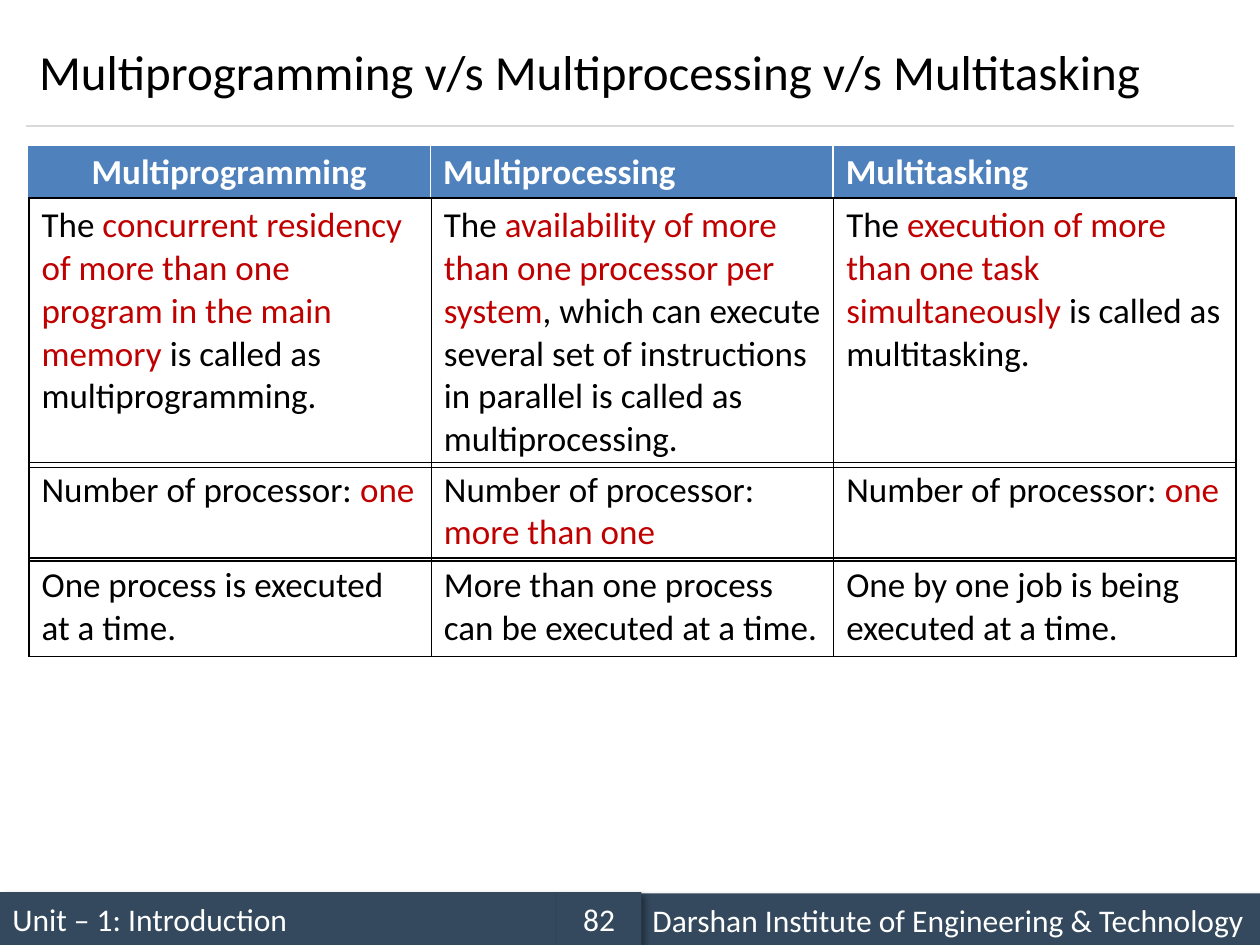
from lxml import etree
from pptx import Presentation
from pptx import util as u
from pptx.dml.color import RGBColor
from pptx.enum import shapes, text
from pptx.oxml.ns import qn

BLACK, WHITE, RED = "000000", "FFFFFF", "C00000"


def colour(value):
    return RGBColor.from_string(value)


def add_spans(para, pieces, size, bold=False):
    for words, shade in pieces:
        span = para.add_run()
        span.text = words
        span.font.name = "Calibri"
        span.font.size = u.Pt(size)
        span.font.bold = bold
        span.font.color.rgb = colour(shade)


deck = Presentation()
deck.slide_width, deck.slide_height = u.Inches(10), u.Inches(7.5)
page = deck.slides.add_slide(deck.slide_layouts[5])

footers = [
    (0, 7.08, 4.42, "Unit – 1: Introduction", text.PP_ALIGN.LEFT),
    (5.08, 7.09, 4.92, "Darshan Institute of Engineering & Technology", text.PP_ALIGN.LEFT),
    (4.42, 7.08, 0.67, "82", text.PP_ALIGN.CENTER),
]
for left, top, width, words, align in footers:
    box = page.shapes.add_shape(shapes.MSO_SHAPE.RECTANGLE, u.Inches(left), u.Inches(top),
                                u.Inches(width), u.Inches(0.42))
    box.fill.solid()
    box.fill.fore_color.rgb = colour("34495E")
    box.line.fill.background()
    box.shadow.inherit = False
    effects = box._element.spPr.find(qn("a:effectLst"))
    shadow = etree.SubElement(effects, qn("a:outerShdw"), blurRad=str(u.Pt(4)), dist=str(u.Pt(3)),
                              dir="2700000", algn="tl", rotWithShape="0")
    shade = etree.SubElement(shadow, qn("a:srgbClr"), val=BLACK)
    etree.SubElement(shade, qn("a:alpha"), val="40000")
    box.text_frame.vertical_anchor = text.MSO_ANCHOR.MIDDLE
    para = box.text_frame.paragraphs[0]
    para.alignment = align
    add_spans(para, [(words, WHITE)], 18)

rule = page.shapes.add_connector(shapes.MSO_CONNECTOR.STRAIGHT, u.Inches(0.21), u.Inches(1),
                                 u.Inches(9.79), u.Inches(1))
rule.line.color.rgb = colour("D9D9D9")
rule.line.width = u.Pt(0.75)
etree.SubElement(rule._element.spPr, qn("a:effectLst"))

title = page.shapes.title
title.left, title.top, title.width, title.height = (u.Inches(n) for n in (0.21, 0.12, 9.58, 0.88))
title.text_frame.vertical_anchor = text.MSO_ANCHOR.MIDDLE
para = title.text_frame.paragraphs[0]
para.alignment = text.PP_ALIGN.LEFT
add_spans(para, [("Multiprogramming v/s Multiprocessing v/s Multitasking", BLACK)], 28)

headings = [[(words, WHITE)] for words in ("Multiprogramming", "Multiprocessing", "Multitasking")]
definitions = [
    [("The ", BLACK), ("concurrent residency of more than one program in the main memory ", RED),
     ("is called as multiprogramming.", BLACK)],
    [("The ", BLACK), ("availability of more than one processor per system", RED),
     (", which can execute several set of instructions in parallel is called as multiprocessing.", BLACK)],
    [("The ", BLACK), ("execution of more than one task simultaneously ", RED),
     ("is called as multitasking.", BLACK)],
]
processors = [[("Number of processor:", BLACK), (count, RED)]
              for count in (" one", " more than one", " one")]
executions = [[(words, BLACK)] for words in (
    "One process is executed at a time.",
    "More than one process can be executed at a time.",
    "One by one job is being executed at a time.",
)]

tables = [
    (0.22, 1.15, 9.59, 0.43, headings),
    (0.23, 1.57, 9.58, 2.1, definitions),
    (0.23, 3.67, 9.58, 0.77, processors),
    (0.23, 4.43, 9.58, 0.77, executions),
]
for left, top, width, height, cells in tables:
    is_header = cells is headings
    table = page.shapes.add_table(1, 3, u.Inches(left), u.Inches(top),
                                  u.Inches(width), u.Inches(height)).table
    table.first_row = is_header
    table.horz_banding = False
    for cell, pieces in zip(table.rows[0].cells, cells):
        properties = cell._tc.get_or_add_tcPr()
        for side in "LRTB":
            weight = 3 if is_header and side == "B" else 1
            border = etree.SubElement(properties, qn("a:ln" + side), w=str(u.Pt(weight)))
            paint = etree.SubElement(border, qn("a:solidFill"))
            etree.SubElement(paint, qn("a:srgbClr"), val=WHITE if is_header else BLACK)
        if is_header:
            cell.fill.solid()
            cell.fill.fore_color.rgb = colour("4F81BD")
        else:
            cell.fill.background()
        add_spans(cell.text_frame.paragraphs[0], pieces, 20, is_header)
    if is_header:
        table.cell(0, 0).text_frame.paragraphs[0].alignment = text.PP_ALIGN.CENTER

deck.save("out.pptx")
